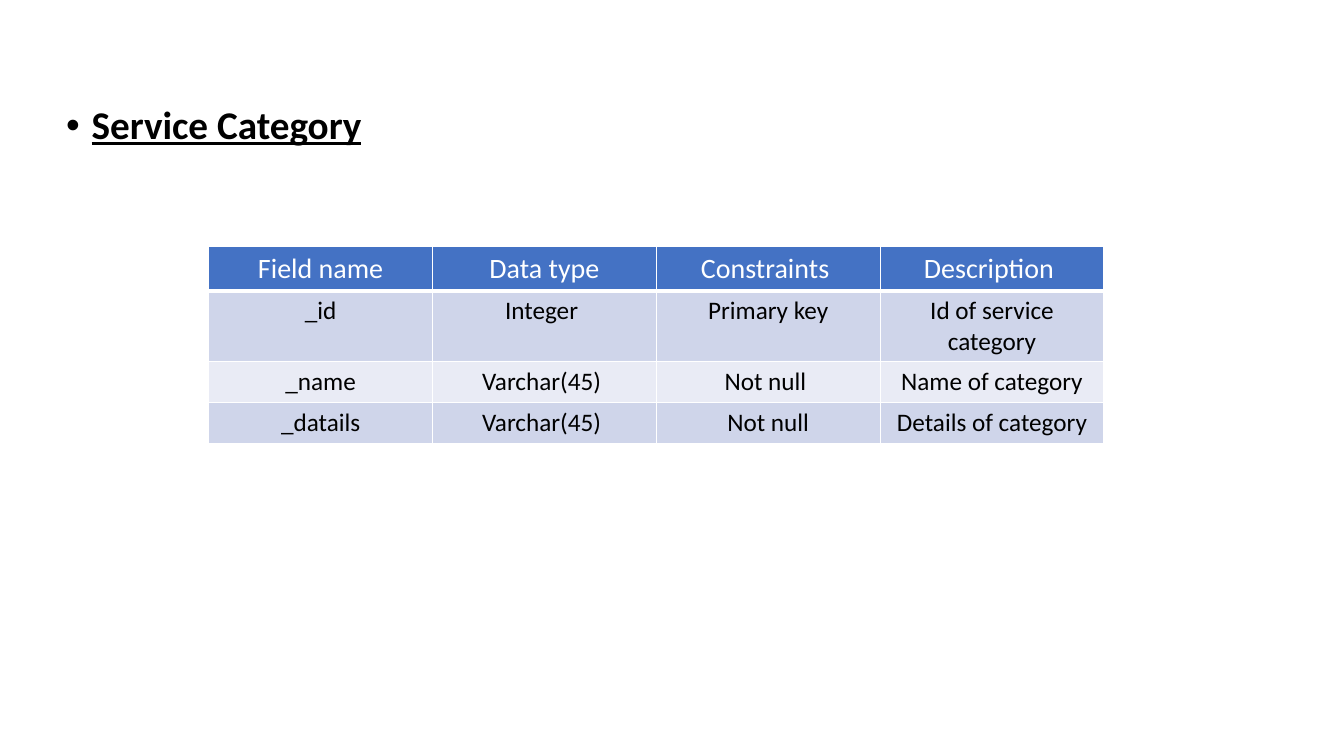
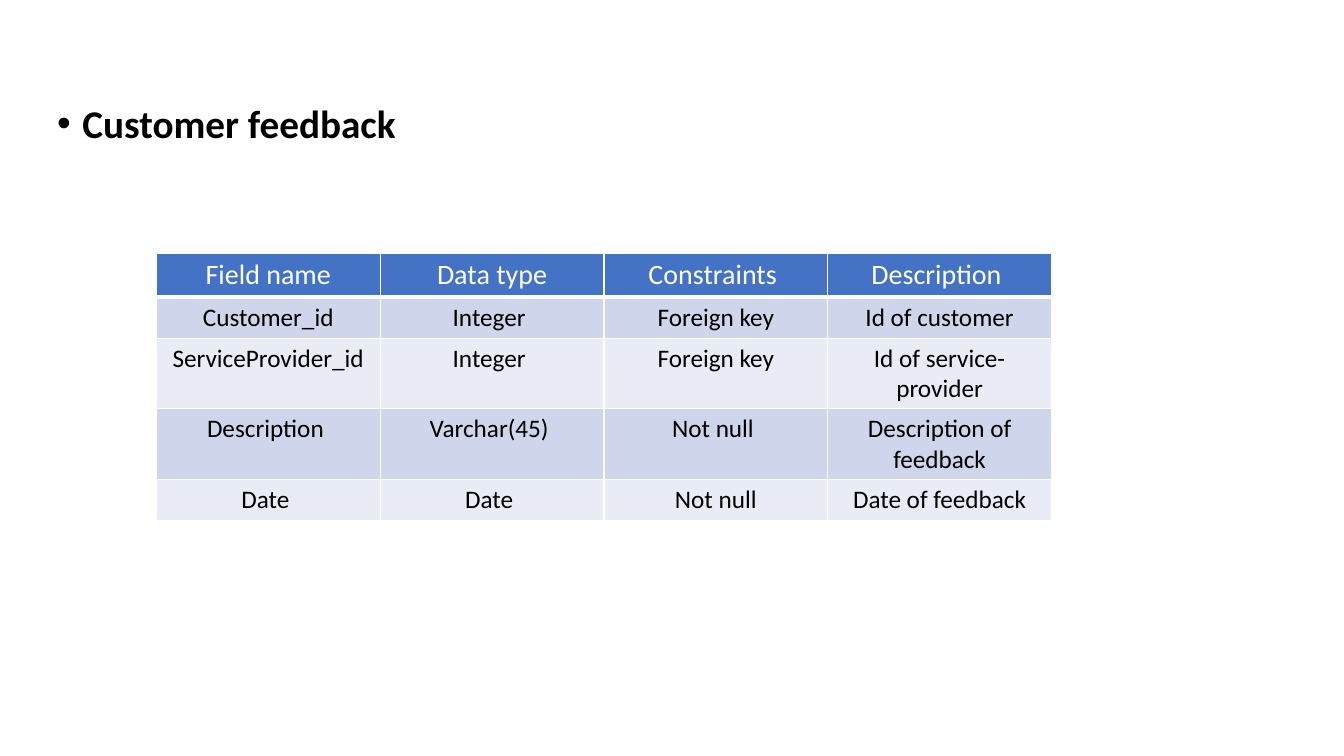
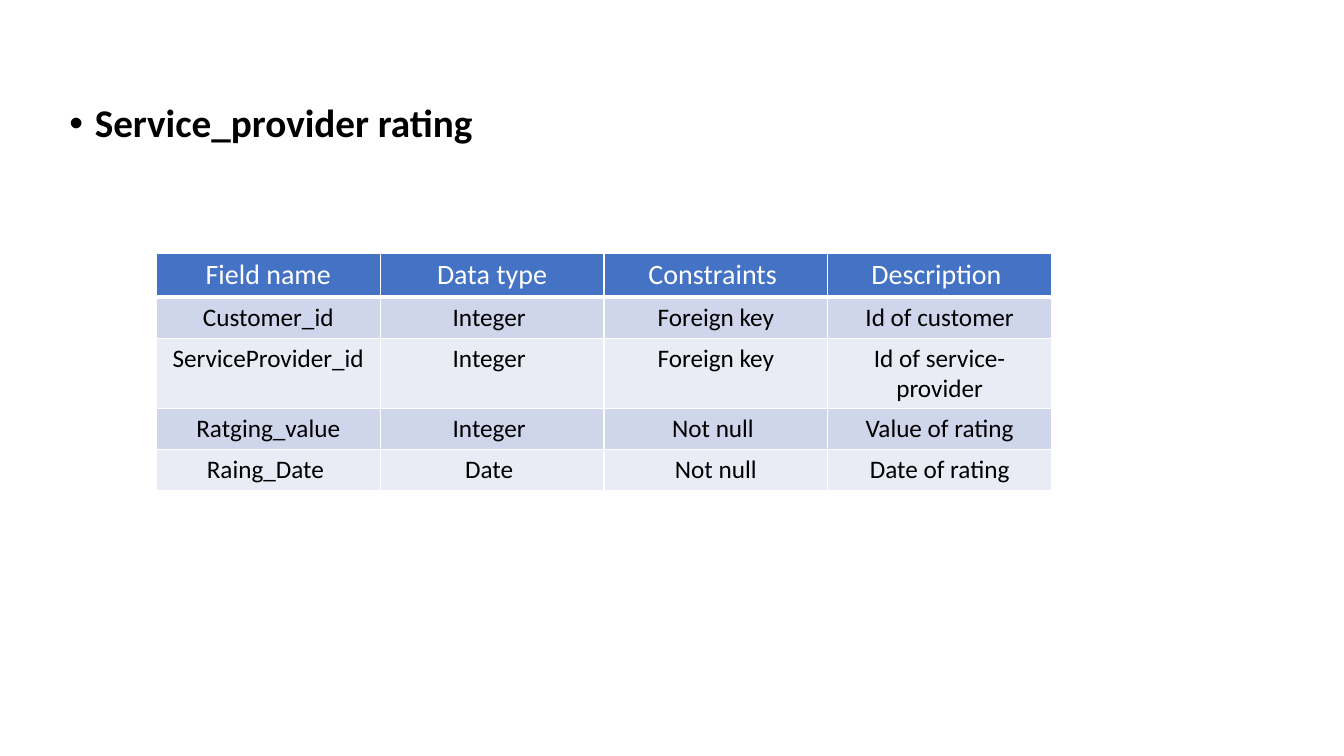
from dataclasses import dataclass
from typing import Any

from lxml.etree import SubElement
from pptx import Presentation
from pptx.dml.color import RGBColor as RGB
from pptx.enum.text import PP_ALIGN as Align
from pptx.oxml.ns import qn
from pptx.util import Cm, Pt

COLORS = {
    "header": "4472C4",
    "band_dark": "CFD5EA",
    "band_light": "E9EBF5",
    "border": "FFFFFF",
    "light_text": "FFFFFF",
    "text": "000000",
}
TITLE_FONT = {"name": "Calibri", "size": Pt(28), "bold": True}
HEADER_FONT = {"name": "Calibri", "size": Pt(20), "bold": False}
BODY_FONT = {"name": "Calibri", "size": Pt(18), "bold": False}

HEADER = ("Field name", "Data type", "Constraints ", "Description ")
CUSTOMER_ROW = ("Customer_id", "Integer ", "Foreign key", "Id of customer")
PROVIDER_ROW = ("ServiceProvider_id", "Integer ", "Foreign key", "Id of service-provider")

TITLE_W, TITLE_H = Cm(29.2), Cm(12.1)
COL_W = Cm(5.64)
HEADER_H, ROW_H = Cm(1.11), Cm(1.03)
INDENT = Cm(0.64)
BORDER_W, HEADER_LINE_W = Pt(1), Pt(3)


@dataclass(frozen=True)
class TableSlide:
    title: str
    title_at: tuple[float, float]
    table_at: tuple[float, float]
    rows: tuple[tuple[str, ...], ...]
    underline: bool = False


SLIDES = (
    TableSlide(
        "Service Category", (1.42, 2.54), (5.26, 6.22),
        (
            ("_id", "Integer ", "Primary key", "Id of service category"),
            ("_name", "Varchar(45) ", "Not null ", "Name of category"),
            ("_datails", "Varchar(45) ", "Not null", "Details of category"),
        ),
        underline=True,
    ),
    TableSlide(
        "Customer feedback", (1.19, 2.51), (3.94, 6.38),
        (
            CUSTOMER_ROW,
            PROVIDER_ROW,
            ("Description ", "Varchar(45) ", "Not null ", "Description of feedback"),
            ("Date ", "Date ", "Not null", "Date of feedback"),
        ),
    ),
    TableSlide(
        "Service_provider rating", (1.5, 2.49), (3.94, 6.38),
        (
            CUSTOMER_ROW,
            PROVIDER_ROW,
            ("Ratging_value", "Integer ", "Not null ", "Value of rating"),
            ("Raing_Date ", "Date ", "Not null", "Date of rating"),
        ),
    ),
)


def add_run(p: Any, text: str, color: str, font: dict[str, Any]) -> None:
    r = p.add_run()
    r.text = text
    for name, value in font.items():
        setattr(r.font, name, value)
    r.font.color.rgb = RGB.from_string(COLORS[color])


def add_bullet(p: Any) -> None:
    p.line_spacing = 0.9
    pPr = p._p.get_or_add_pPr()
    pPr.set("marL", str(INDENT))
    pPr.set("indent", str(-INDENT))
    SubElement(pPr, qn("a:buFont"), typeface="Arial")
    SubElement(pPr, qn("a:buChar"), char="•")


def add_title(s: Any, spec_slide: TableSlide) -> None:
    left, top = spec_slide.title_at
    tf = s.shapes.add_textbox(Cm(left), Cm(top), TITLE_W, TITLE_H).text_frame
    tf.word_wrap = True
    p = tf.paragraphs[0]
    add_bullet(p)
    add_run(p, spec_slide.title, "text", TITLE_FONT | {"underline": spec_slide.underline})


def set_borders(cell: Any, bottom: int) -> None:
    tcPr = cell._tc.get_or_add_tcPr()
    widths = {"lnL": BORDER_W, "lnR": BORDER_W, "lnT": BORDER_W, "lnB": bottom}
    for tag, width in widths.items():
        ln = SubElement(tcPr, qn(f"a:{tag}"), w=str(width))
        fill = SubElement(ln, qn("a:solidFill"))
        SubElement(fill, qn("a:srgbClr"), val=COLORS["border"])


def fill_cell(cell: Any, text: str, row: int) -> None:
    is_header = row == 0
    set_borders(cell, HEADER_LINE_W if is_header else BORDER_W)
    band = "header" if is_header else ("band_light", "band_dark")[row % 2]
    cell.fill.solid()
    cell.fill.fore_color.rgb = RGB.from_string(COLORS[band])
    p = cell.text_frame.paragraphs[0]
    p.alignment = Align.CENTER
    if is_header:
        add_run(p, text, "light_text", HEADER_FONT)
    else:
        add_run(p, text, "text", BODY_FONT)


def add_field_table(s: Any, table_slide: TableSlide) -> None:
    rows = (HEADER, *table_slide.rows)
    left, top = table_slide.table_at
    height = HEADER_H + ROW_H * len(table_slide.rows)
    table = s.shapes.add_table(
        len(rows), len(HEADER), Cm(left), Cm(top), COL_W * len(HEADER), height
    ).table
    table.first_row = table.horz_banding = False
    for i, texts in enumerate(rows):
        table.rows[i].height = ROW_H if i else HEADER_H
        for j, text in enumerate(texts):
            fill_cell(table.cell(i, j), text, i)


def main() -> None:
    prs = Presentation()
    prs.slide_width, prs.slide_height = Cm(33.87), Cm(19.05)
    for table_slide in SLIDES:
        s = prs.slides.add_slide(prs.slide_layouts[6])
        add_title(s, table_slide)
        add_field_table(s, table_slide)
    prs.save("out.pptx")


if __name__ == "__main__":
    main()
